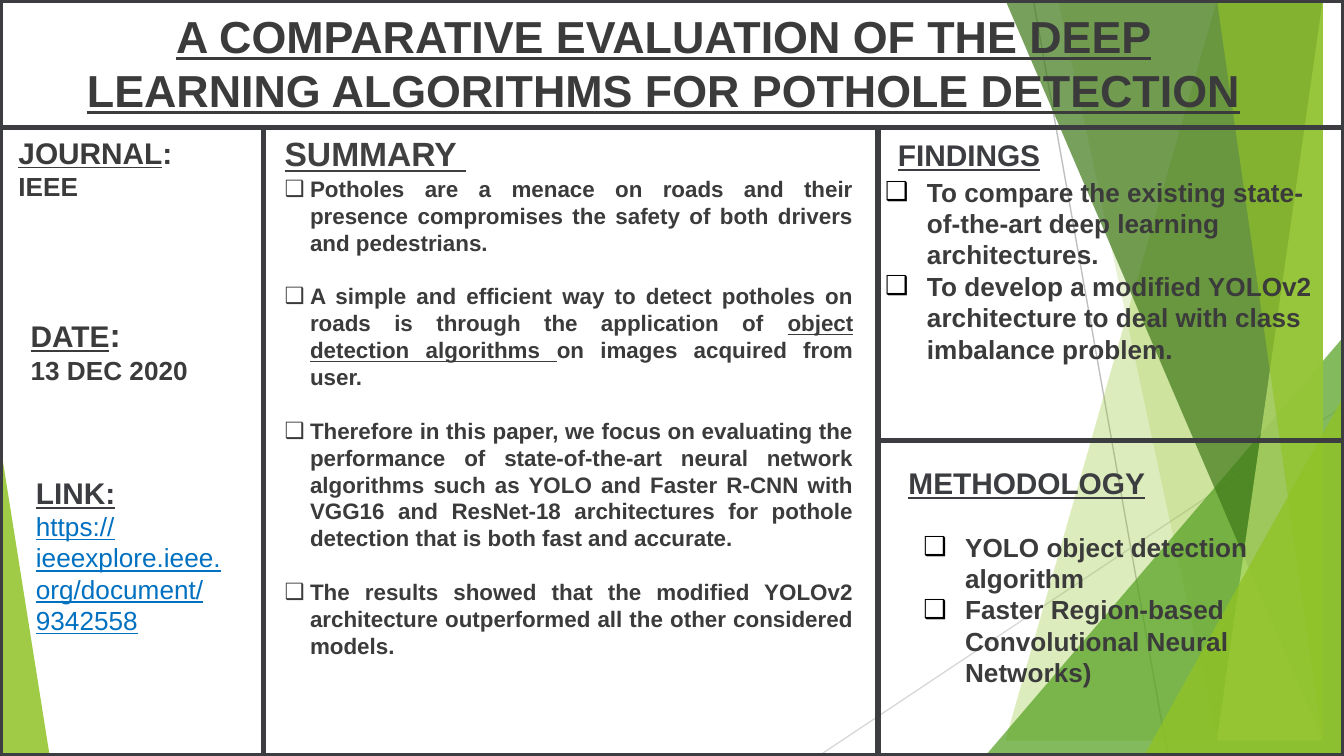
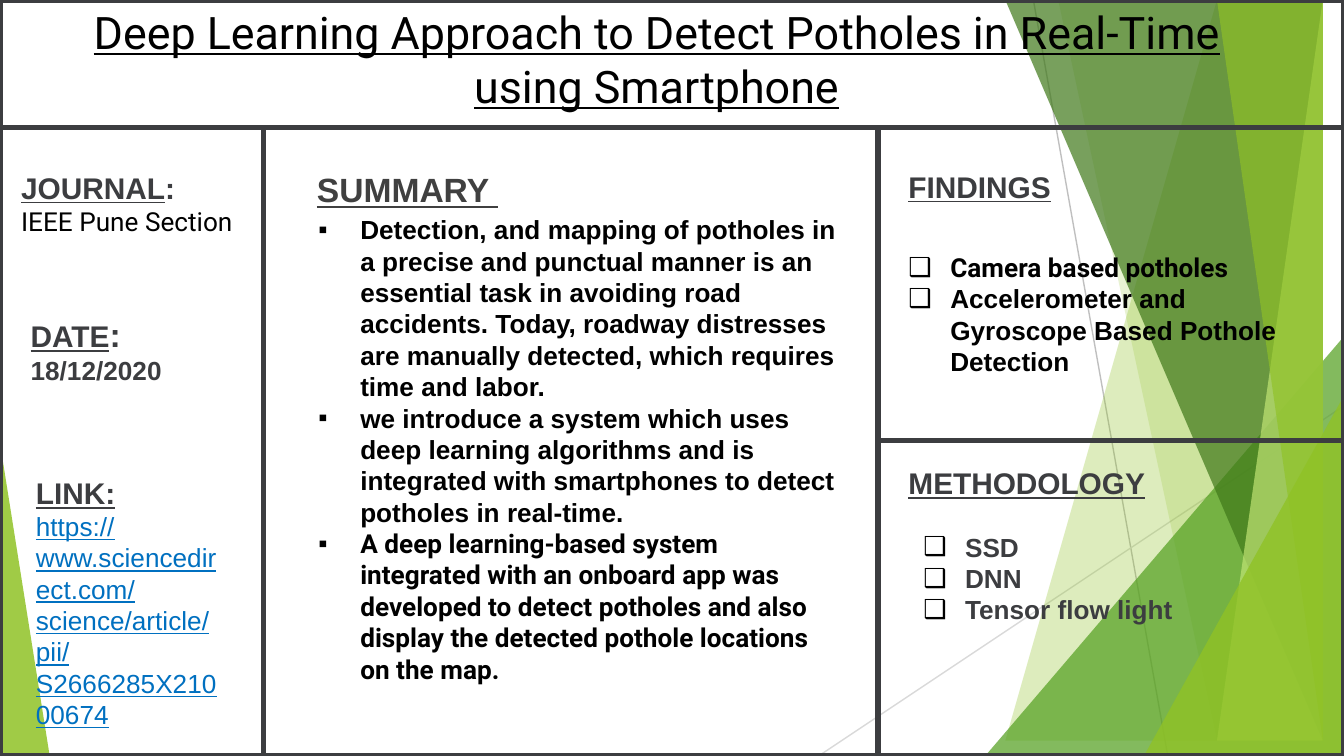
from dataclasses import dataclass

from lxml.etree import SubElement
from pptx import Presentation
from pptx.dml.color import RGBColor
from pptx.enum.shapes import MSO_CONNECTOR, MSO_SHAPE
from pptx.enum.text import MSO_ANCHOR, MSO_AUTO_SIZE, PP_ALIGN
from pptx.oxml.ns import qn
from pptx.util import Cm, Pt

COLORS = {
    "ink": "3B3B3B", "frame": "3C3D40", "heading": "404040", "black": "000000",
    "link": "0070C0", "ray": "BFBFBF", "pale_ray": "D9D9D9", "lime": "90C226",
    "green": "54A021", "forest": "3F7819", "light": "C0E474",
}
WIDTH, HEIGHT = 25.4, 14.29
TITLE_H, SIDE_W, RIGHT_X, SPLIT_Y = 2.41, 4.98, 16.59, 8.33


@dataclass
class Box:
    x: float
    y: float
    w: float
    h: float

    def inner(self, dx, dy, w, h):
        return Box(self.x + dx, self.y + dy, w, h)

    def cm(self):
        return [Cm(v) for v in (self.x, self.y, self.w, self.h)]


PAGE = Box(0, 0, WIDTH, HEIGHT)
TITLE = Box(0, 0, WIDTH, TITLE_H)
SIDE = Box(0, TITLE_H, SIDE_W, HEIGHT - TITLE_H)
SUMMARY = Box(SIDE_W, TITLE_H, RIGHT_X - SIDE_W, HEIGHT - TITLE_H)
FINDINGS = Box(RIGHT_X, TITLE_H, WIDTH - RIGHT_X, SPLIT_Y - TITLE_H)
METHODS = Box(RIGHT_X, SPLIT_Y, WIDTH - RIGHT_X, HEIGHT - SPLIT_Y)


def rgb(name):
    return RGBColor.from_string(COLORS[name])


def add_bullet(p, char, hang, color):
    pPr = p._p.get_or_add_pPr()
    pPr.set("marL", str(Cm(hang)))
    pPr.set("indent", str(-Cm(hang)))
    if color:
        clr = SubElement(pPr, qn("a:buClr"))
        SubElement(clr, qn("a:srgbClr")).set("val", COLORS[color])
    SubElement(pPr, qn("a:buFont")).set("typeface", "Arial")
    SubElement(pPr, qn("a:buChar")).set("char", char)


def format_run(r, size=14, font="Arial", color="ink", bold=True, underline=False):
    r.font.size, r.font.name = Pt(size), font
    r.font.bold, r.font.underline = bold, underline
    r.font.color.rgb = rgb(color)


def add_text(s, box, paras, align=PP_ALIGN.LEFT, anchor=MSO_ANCHOR.TOP,
             inset=(0.25, 0.13), grow=True, bullet=None, hang=0.79,
             bullet_color=None, gap=0, **fmt):
    tf = s.shapes.add_textbox(*box.cm()).text_frame
    tf.word_wrap = True
    tf.auto_size = MSO_AUTO_SIZE.SHAPE_TO_FIT_TEXT if grow else MSO_AUTO_SIZE.NONE
    tf.vertical_anchor = anchor
    tf.margin_left = tf.margin_right = Cm(inset[0])
    tf.margin_top = tf.margin_bottom = Cm(inset[1])
    for i, runs in enumerate(paras):
        p = tf.add_paragraph() if i else tf.paragraphs[0]
        p.alignment = align
        if i and gap:
            p.space_before = Pt(gap)
        if bullet:
            add_bullet(p, bullet, hang, bullet_color)
        for text, own in runs:
            r = p.add_run()
            r.text = text
            format_run(r, **{**fmt, **own})


def add_line(s, x1, y1, x2, y2, color="frame", width=3):
    ln = s.shapes.add_connector(MSO_CONNECTOR.STRAIGHT, Cm(x1), Cm(y1), Cm(x2), Cm(y2))
    ln.line.color.rgb = rgb(color)
    ln.line.width = Pt(width)
    SubElement(ln._element.spPr, qn("a:effectLst"))


def paint(sp, color, opacity):
    sp.shadow.inherit = False
    sp.line.fill.background()
    sp.fill.solid()
    sp.fill.fore_color.rgb = rgb(color)
    clr = sp._element.spPr.find(qn("a:solidFill"))[0]
    SubElement(clr, qn("a:alpha")).set("val", str(opacity * 1000))


def add_band(s, box, top_x, bottom_x, color, opacity):
    right, bottom = box.x + box.w, box.y + box.h
    fb = s.shapes.build_freeform(box.x + top_x, box.y, scale=Cm(1))
    fb.add_line_segments([(right, box.y), (right, bottom), (box.x + bottom_x, bottom)])
    paint(fb.convert_to_shape(), color, opacity)


def add_triangle(s, box, apex, color, opacity):
    sp = s.shapes.add_shape(MSO_SHAPE.ISOSCELES_TRIANGLE, *box.cm())
    sp.adjustments[0] = apex
    paint(sp, color, opacity)


def corner(box, w, h):
    return box.inner(box.w - w, box.h - h, w, h)


def draw_backdrop(s, box):
    x, y, right, bottom = box.x, box.y, box.x + box.w, box.y + box.h
    add_line(s, x + 19.53, y, x + 22.07, bottom, "ray", 0.75)
    add_line(s, right, y + 7.67, x + 15.47, bottom, "pale_ray", 0.75)
    add_band(s, box, 23.39, 19.13, "lime", 30)
    add_band(s, box, 20.02, 22.53, "lime", 20)
    add_triangle(s, corner(box, 6.78, 7.93), 1, "green", 72)
    add_band(s, box, 19.46, 24.59, "forest", 70)
    add_band(s, box, 24.84, 22.71, "light", 70)
    add_band(s, box, 22.78, 25.1, "lime", 65)
    add_triangle(s, corner(box, 3.78, 6.81), 1, "lime", 80)
    add_triangle(s, box.inner(0, box.h - 5.92, 0.94, 5.92), 0, "lime", 85)


def draw_frame(s, box):
    right, bottom = box.x + box.w, box.y + box.h
    sp = s.shapes.add_shape(MSO_SHAPE.RECTANGLE, *box.cm())
    sp.shadow.inherit = False
    sp.fill.background()
    sp.line.color.rgb = rgb("frame")
    sp.line.width = Pt(3)
    add_line(s, box.x, TITLE_H, right, TITLE_H)
    for x in (SIDE_W, RIGHT_X):
        add_line(s, x, TITLE_H, x, bottom)
    add_line(s, RIGHT_X, SPLIT_Y, right, SPLIT_Y)


def draw_title(s, box, text, dx, dy, **fmt):
    add_text(s, box.inner(dx, dy, 23.3, box.h - 0.2), [[(text, fmt)]],
             align=PP_ALIGN.CENTER, anchor=MSO_ANCHOR.MIDDLE, inset=(0.18, 0.1),
             grow=False, size=24, underline=True)


def draw_side(s, box, journal, date, link, journal_at, link_h, color, journal_fmt):
    label = {"size": 16, "underline": True}
    add_text(s, box.inner(*journal_at, 4.6, 1.55),
             [[("JOURNAL", label), (":", {"size": 16})], [(journal, journal_fmt)]],
             color=color)
    add_text(s, box.inner(0.33, 3.4, 4.29, 1.63),
             [[("DATE", label), (":", {"size": 18})], [(date, {})]], color=color)
    add_text(s, box.inner(0.43, 6.43, 4.09, link_h),
             [[("LINK:", label)],
              [(link, {"color": "link", "bold": False, "underline": True})]],
             color="frame")


def draw_topic(s, box, heading, items, head_at, body, head_fmt=None, **fmt):
    style = {"size": 16, "color": "frame", **(head_fmt or {})}
    add_text(s, box.inner(*head_at, 5.9, 0.95), [[(heading, {})]], underline=True, **style)
    add_text(s, box.inner(*body), items, **{"bullet": "❑", **fmt})


def draw_slide(prs, title, side, summary, findings, methods):
    s = prs.slides.add_slide(prs.slide_layouts[6])
    draw_backdrop(s, PAGE)
    draw_frame(s, PAGE)
    draw_title(s, TITLE, **title)
    draw_side(s, SIDE, **side)
    draw_topic(s, SUMMARY, "SUMMARY ", head_fmt={"size": 18, "color": "heading"}, **summary)
    draw_topic(s, FINDINGS, "FINDINGS", **findings)
    draw_topic(s, METHODS, "METHODOLOGY", head_at=(0.33, 0.33),
               bullet_color="black", **methods)


def plain(*texts):
    return [[(t, {})] for t in texts]


def main():
    prs = Presentation()
    prs.slide_width, prs.slide_height = Cm(WIDTH), Cm(HEIGHT)

    draw_slide(
        prs,
        title={"text": "A COMPARATIVE EVALUATION OF THE DEEP LEARNING ALGORITHMS "
                       "FOR POTHOLE DETECTION", "dx": 0.89, "dy": 0.08},
        side={"journal": "IEEE", "date": "13 DEC 2020",
              "link": "https://ieeexplore.ieee.org/document/9342558",
              "journal_at": (0.1, 0), "link_h": 2.74, "color": "ink", "journal_fmt": {}},
        summary={
            "items": [
                *plain("Potholes are a menace on roads and their presence compromises "
                       "the safety of both drivers and pedestrians."),
                [("A simple and efficient way to detect potholes on roads is through "
                  "the application of ", {}),
                 ("object detection algorithms ", {"underline": True}),
                 ("on images acquired from user.", {})],
                *plain("Therefore in this paper, we focus on evaluating the performance "
                       "of state-of-the-art neural network algorithms such as YOLO and "
                       "Faster R-CNN with VGG16 and ResNet-18 architectures for pothole "
                       "detection that is both fast and accurate.",
                       "The results showed that the modified YOLOv2 architecture "
                       "outperformed all the other considered models.")],
            "head_at": (0.15, -0.02), "body": (0.15, 0.77, 11.25, 9.5),
            "size": 12, "hang": 0.48, "gap": 14.4, "align": PP_ALIGN.JUSTIFY},
        findings={
            "items": plain("To compare the existing state-of-the-art deep learning "
                           "architectures.",
                           "To develop a modified YOLOv2 architecture to deal with class "
                           "imbalance problem."),
            "head_at": (0.13, 0.05), "body": (-0.11, 0.79, 8.61, 4.62),
            "bullet_color": "black"},
        methods={
            "items": plain("YOLO object detection algorithm",
                           "Faster Region-based Convolutional Neural Networks)"),
            "body": (0.61, 1.58, 7.39, 3.84)})

    roboto = {"font": "Roboto", "color": "black"}
    draw_slide(
        prs,
        title={"text": "Deep Learning Approach to Detect Potholes in Real-Time using "
                       "Smartphone", "dx": 0.76, "dy": 0, "bold": False, **roboto},
        side={"journal": "IEEE Pune Section", "date": "18/12/2020",
              "link": "https://www.sciencedirect.com/science/article/pii/S2666285X21000674",
              "journal_at": (0.15, 0.66), "link_h": 3.94, "color": "frame",
              "journal_fmt": {"bold": False, **roboto}},
        summary={
            "items": [
                *plain("Detection, and mapping of potholes in a precise and punctual "
                       "manner is an essential task in avoiding road accidents. Today, "
                       "roadway distresses are manually detected, which requires time "
                       "and labor.",
                       "we introduce a system which uses deep learning algorithms and is "
                       "integrated with smartphones to detect potholes in real-time."),
                [("A deep learning-based system integrated with an onboard app was "
                  "developed to detect potholes and also display the detected pothole "
                  "locations on the map.", roboto)]],
            "head_at": (0.76, 0.66), "body": (0.79, 1.5, 10.34, 10.3),
            "bullet": "▪", "color": "black"},
        findings={
            "items": [[("Camera based potholes", roboto)],
                      *plain("Accelerometer and Gyroscope Based Pothole Detection")],
            "head_at": (0.33, 0.64), "body": (0.33, 2.21, 7.65, 3.25),
            "color": "black"},
        methods={"items": plain("SSD", "DNN", "Tensor flow light"),
                 "body": (0.61, 1.58, 7.39, 2.06), "color": "frame"})

    prs.save("out.pptx")


if __name__ == "__main__":
    main()
